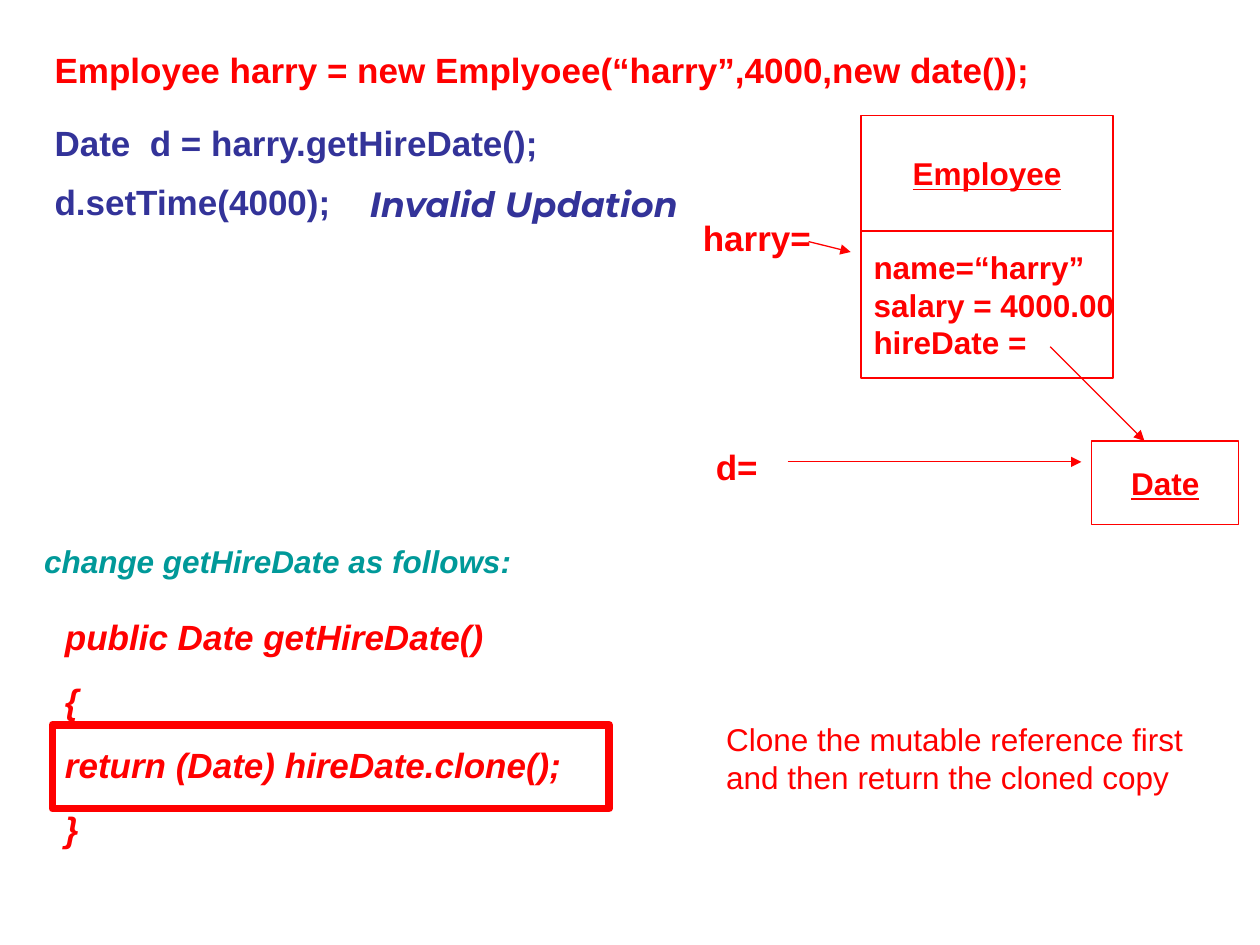
"""Build a slide on cloning a mutable reference before returning it."""
from lxml import etree
from pptx import Presentation
from pptx.dml.color import RGBColor
from pptx.enum.shapes import MSO_CONNECTOR, MSO_SHAPE
from pptx.enum.text import MSO_ANCHOR, MSO_AUTO_SIZE, PP_ALIGN
from pptx.oxml.ns import qn
from pptx.util import Cm, Pt

RED = RGBColor(0xFF, 0x00, 0x00)
BLUE = RGBColor(0x33, 0x33, 0x99)
TEAL = RGBColor(0x00, 0x99, 0x99)
WHITE = RGBColor(0xFF, 0xFF, 0xFF)
RECTANGLE = MSO_SHAPE.RECTANGLE
STRAIGHT = MSO_CONNECTOR.STRAIGHT
MIDDLE = MSO_ANCHOR.MIDDLE
FIT_SHAPE = MSO_AUTO_SIZE.SHAPE_TO_FIT_TEXT
LEFT, CENTER = PP_ALIGN.LEFT, PP_ALIGN.CENTER


def write_lines(shape, lines, color, font_format, space=0, alignment=LEFT):
    """Write one formatted paragraph for each line."""
    text_frame = shape.text_frame
    text_frame.text = "\n".join(lines)
    for paragraph in text_frame.paragraphs:
        paragraph.alignment = alignment
        paragraph.space_before = Pt(space)
        font = paragraph.runs[0].font
        font.color.rgb = color
        for name, value in font_format.items():
            setattr(font, name, value)


def add_box(position, line_width):
    """Add a white rectangle with a red outline."""
    shape = slide.shapes.add_shape(RECTANGLE, *map(Cm, position))
    shape.shadow.inherit = False
    shape.fill.solid()
    shape.fill.fore_color.rgb = WHITE
    shape.line.color.rgb = RED
    shape.line.width = Pt(line_width)
    return shape


presentation = Presentation()
presentation.slide_width, presentation.slide_height = Cm(25.4), Cm(19.05)
slide = presentation.slides.add_slide(presentation.slide_layouts[6])

note = {"name": "Arial", "size": Pt(18)}
label = {**note, "bold": True}
heading = {**label, "underline": True}
remark = {**label, "italic": True}
code = {**label, "size": Pt(20)}
code_italic = {**code, "italic": True}
warning = {**code_italic, "name": "Montserrat"}

add_box((1.06, 14.61, 11.22, 1.69), 4.5)

object_boxes = [
    ((17.36, 2.33, 5.08, 2.33), ["Employee"], heading, 11.2, CENTER),
    ((17.36, 4.66, 5.08, 2.96),
     ["name=“harry”", "salary = 4000.00", "hireDate ="], label, 0, LEFT),
    ((22.01, 8.89, 2.96, 1.69), ["Date"], heading, 11.2, CENTER),
]
for position, lines, font_format, space, alignment in object_boxes:
    box = add_box(position, 0.75)
    box.text_frame.word_wrap = False
    box.text_frame.vertical_anchor = MIDDLE
    write_lines(box, lines, RED, font_format, space, alignment)

method_lines = ["public Date getHireDate()", "{", "return (Date) hireDate.clone();", "}"]
texts = [
    ((0.85, 0.85, 22.23, 1.11),
     ["Employee harry = new Emplyoee(“harry”,4000,new date());"], RED, code),
    ((13.92, 4.23, 3.43, 1.11), ["harry="], RED, code),
    ((0.85, 2.33, 19.9, 1.11), ["Date  d = harry.getHireDate();"], BLUE, code),
    ((14.18, 8.85, 1.69, 1.11), ["d="], RED, code),
    ((0.85, 3.51, 19.9, 1.11), ["d.setTime(4000);"], BLUE, code),
    ((7.2, 3.56, 9.74, 1.11), ["Invalid Updation"], BLUE, warning),
    ((0.64, 10.8, 15.24, 1.02), ["change getHireDate as follows:"], TEAL, remark),
    ((1.06, 12.28, 12.28, 4.98), method_lines, RED, code_italic),
    ((14.39, 14.39, 9.95, 1.78),
     ["Clone the mutable reference first and then return the cloned copy"], RED, note),
]
for position, lines, color, font_format in texts:
    text_box = slide.shapes.add_textbox(*map(Cm, position))
    text_box.text_frame.word_wrap = True
    text_box.text_frame.auto_size = FIT_SHAPE
    space = font_format["size"].pt * 0.625
    write_lines(text_box, lines, color, font_format, space)

arrows = [
    (16.3, 4.87, 17.15, 5.08),
    (21.17, 6.99, 23.07, 8.89),
    (15.88, 9.31, 21.8, 9.31),
]
for ends in arrows:
    arrow = slide.shapes.add_connector(STRAIGHT, *map(Cm, ends))
    arrow.line.color.rgb = RED
    arrow.line.width = Pt(0.75)
    etree.SubElement(arrow.line._get_or_add_ln(), qn("a:tailEnd"), type="triangle")
    etree.SubElement(arrow._element.spPr, qn("a:effectLst"))

presentation.save("out.pptx")
